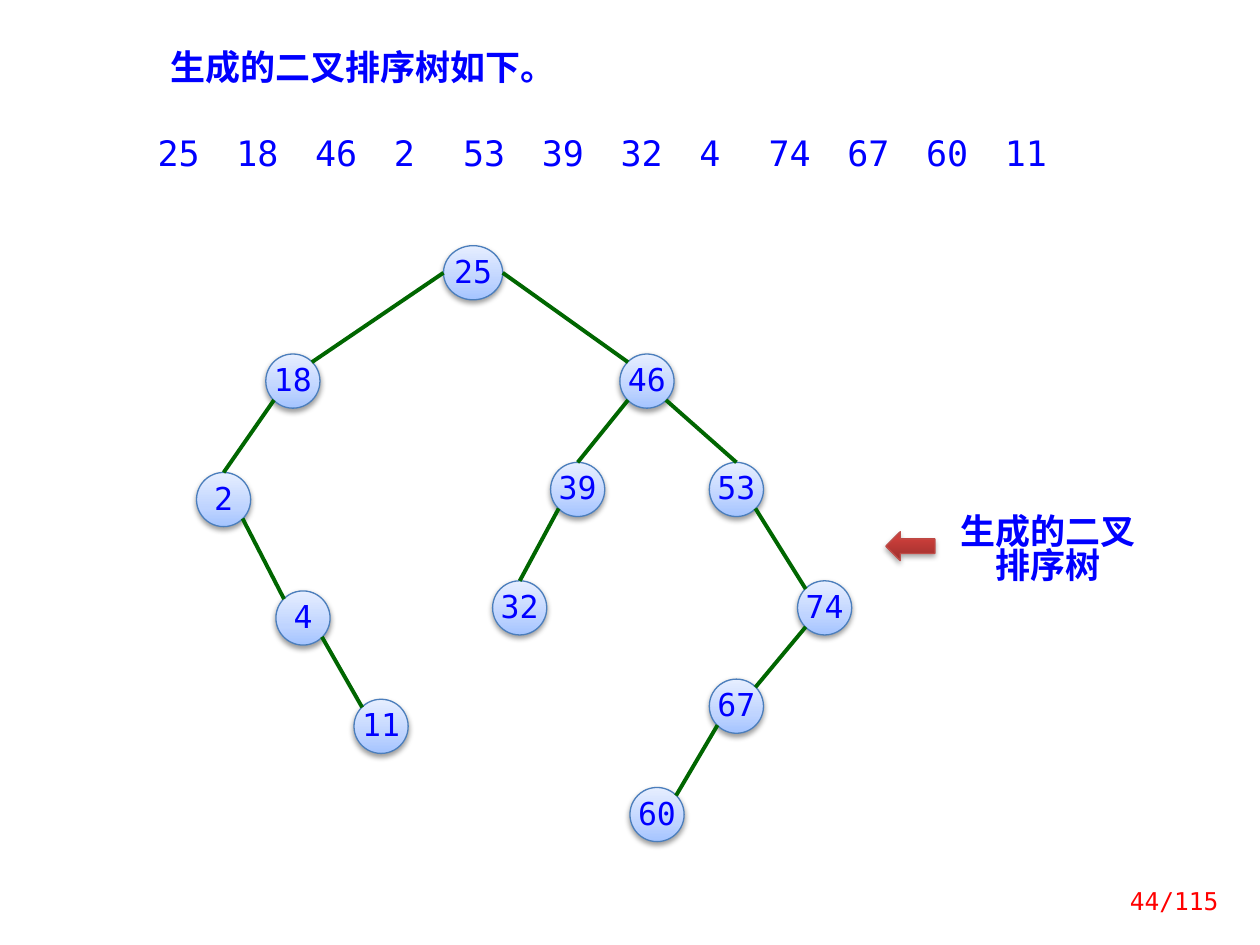
from lxml import etree
from pptx import Presentation
from pptx.dml.color import RGBColor
from pptx.enum import shapes, text
from pptx.oxml.ns import qn
from pptx.util import Inches, Pt

BLUE = RGBColor(0x00, 0x00, 0xFF)
RED = RGBColor(0xFF, 0x00, 0x00)
GREEN = RGBColor(0x00, 0x66, 0x00)
NODE_LINE = RGBColor(0x4B, 0x7E, 0xBC)
ARROW_LINE = RGBColor(0xBF, 0x4C, 0x48)
NODE_STOPS = [(0, RGBColor(0xA4, 0xC4, 0xFF)), (35, RGBColor(0xBF, 0xD4, 0xFF)),
              (100, RGBColor(0xE6, 0xEE, 0xFF))]
ARROW_STOPS = [(0, RGBColor(0x9C, 0x2F, 0x2D)), (80, RGBColor(0xCB, 0x3E, 0x3A)),
               (100, RGBColor(0xCE, 0x3B, 0x37))]
MONO = "DejaVu Sans Mono"
CJK = "Noto Sans CJK SC"

KEYS = [25, 18, 46, 2, 53, 39, 32, 4, 74, 67, 60, 11]
NODE_SIZE = Inches(0.43)
ROOT_WIDTH = Inches(0.47)

# Points on a node's outline, as fractions of its width and height
PORTS = {"N": (0.5, 0), "E": (1, 0.5), "W": (0, 0.5), "NW": (0.15, 0.15),
         "NE": (0.85, 0.15), "SW": (0.15, 0.85), "SE": (0.85, 0.85)}

# key, left, top (inches within the tree), parent, port on parent, port on node
NODES = [
    (25, 1.96, 0, None, None, None),
    (18, 0.55, 0.86, 25, "W", "NE"),
    (2, 0, 1.8, 18, "SW", "N"),
    (46, 3.36, 0.86, 25, "E", "NW"),
    (4, 0.63, 2.74, 2, "SE", "NW"),
    (11, 1.25, 3.6, 4, "SE", "NW"),
    (39, 2.81, 1.72, 46, "SW", "N"),
    (53, 4.07, 1.72, 46, "SE", "N"),
    (32, 2.35, 2.66, 39, "SW", "N"),
    (74, 4.77, 2.66, 53, "SE", "NW"),
    (67, 4.07, 3.44, 74, "SW", "NE"),
    (60, 3.44, 4.3, 67, "SW", "NE"),
]


def write(tf, words, size, color=BLUE, font=MONO, bold=False,
          align=text.PP_ALIGN.LEFT, spacing=None):
    p = tf.paragraphs[0]
    p.alignment = align
    p.line_spacing = spacing
    r = p.add_run()
    r.text = words
    r.font.size = Pt(size)
    r.font.name = font
    r.font.bold = bold
    r.font.color.rgb = color
    etree.SubElement(r.font._element, qn("a:ea"), typeface=CJK)


def set_side_insets(tf, inset=0):
    tf.margin_left = tf.margin_right = inset
    tf.margin_top = tf.margin_bottom = Inches(0.05)


def add_text_box(slide, left, top, width, height):
    tf = slide.shapes.add_textbox(left, top, width, height).text_frame
    tf.word_wrap = True
    return tf


def add_glossy_shape(slide, kind, box, stops, line_color, opacity):
    """Add a shape with an upward gradient and a soft shadow below."""
    sp = slide.shapes.add_shape(kind, *box)
    sp.fill.gradient()
    gradient = sp._element.spPr.find(qn("a:gradFill"))
    gradient.find(qn("a:lin")).set("ang", "16200000")
    stop_list = gradient.find(qn("a:gsLst"))
    for old in list(stop_list):
        stop_list.remove(old)
    for position, color in stops:
        stop = etree.SubElement(stop_list, qn("a:gs"), pos=str(position * 1000))
        etree.SubElement(stop, qn("a:srgbClr"), val=str(color))
    sp.line.color.rgb = line_color
    sp.line.width = Pt(0.75)
    sp.shadow.inherit = False
    effects = sp._element.spPr.find(qn("a:effectLst"))
    shadow = etree.SubElement(effects, qn("a:outerShdw"), blurRad=str(Pt(3.1)),
                              dist=str(Pt(1.7)), dir="5400000", rotWithShape="0")
    black = etree.SubElement(shadow, qn("a:srgbClr"), val="000000")
    etree.SubElement(black, qn("a:alpha"), val=str(opacity * 1000))
    return sp


def port_position(sp, port):
    dx, dy = PORTS[port]
    return int(sp.left + dx * sp.width), int(sp.top + dy * sp.height)


def add_edge(slide, start, end):
    edge = slide.shapes.add_connector(shapes.MSO_CONNECTOR.STRAIGHT, *start, *end)
    edge.line.color.rgb = GREEN
    edge.line.width = Pt(2.25)
    etree.SubElement(edge._element.spPr, qn("a:effectLst"))


def add_title(slide, left, top, width, height):
    title = slide.shapes.title
    title.left, title.top, title.width, title.height = left, top, width, height
    tf = title.text_frame
    tf.word_wrap = True
    tf.auto_size = text.MSO_AUTO_SIZE.NONE
    tf.vertical_anchor = text.MSO_ANCHOR.TOP
    write(tf, "生成的二叉排序树如下。", 20, bold=True)


def add_key_row(slide, left, top, width, height):
    """Lay out the keys left to right; a one-digit key takes a narrower step."""
    for key in KEYS:
        tf = add_text_box(slide, left, top, width, height)
        set_side_insets(tf)
        write(tf, str(key), 20, spacing=0.8)
        left += Inches(5 / 8) if key > 9 else Inches(0.55)


def add_tree(slide, left, top):
    placed = {}
    for key, x, y, parent, parent_port, port in NODES:
        width = NODE_SIZE if parent else ROOT_WIDTH
        box = (left + Inches(x), top + Inches(y), width, NODE_SIZE)
        node = add_glossy_shape(slide, shapes.MSO_SHAPE.OVAL, box,
                                NODE_STOPS, NODE_LINE, 38)
        tf = node.text_frame
        set_side_insets(tf)
        tf.vertical_anchor = text.MSO_ANCHOR.MIDDLE
        write(tf, str(key), 18, align=text.PP_ALIGN.CENTER, spacing=Pt(19.2))
        placed[key] = node
        if parent:
            add_edge(slide, port_position(placed[parent], parent_port),
                     port_position(node, port))


def add_tree_label(slide, left, top, width, height):
    """Add the arrow at the left of the box and the label in the rest."""
    text_left = Inches(0.47)
    tf = add_text_box(slide, left + text_left, top, width - text_left, height)
    write(tf, "生成的二叉排序树", 20, font=CJK, bold=True,
          align=text.PP_ALIGN.CENTER, spacing=0.8)
    arrow_box = (left, top + Inches(0.16), Inches(0.39), Inches(0.23))
    add_glossy_shape(slide, shapes.MSO_SHAPE.LEFT_ARROW, arrow_box,
                     ARROW_STOPS, ARROW_LINE, 35)


def add_page_number(slide, left, top, width, height):
    tf = add_text_box(slide, left, top, width, height)
    tf.vertical_anchor = text.MSO_ANCHOR.MIDDLE
    write(tf, "44/115", 14, color=RED, align=text.PP_ALIGN.RIGHT)


def main():
    prs = Presentation()
    prs.slide_width, prs.slide_height = Inches(10), Inches(7.5)
    slide = prs.slides.add_slide(prs.slide_layouts[5])
    add_title(slide, Inches(1.25), Inches(0.31), Inches(3.67), Inches(0.44))
    add_tree(slide, Inches(1.56), Inches(1.95))
    add_key_row(slide, Inches(1.25), Inches(1.06), Inches(0.39), Inches(0.37))
    add_tree_label(slide, Inches(7.03), Inches(4.06), Inches(2.11), Inches(0.64))
    add_page_number(slide, Inches(8.63), Inches(6.95), Inches(1.14), Inches(0.4))
    prs.save("out.pptx")


if __name__ == "__main__":
    main()
